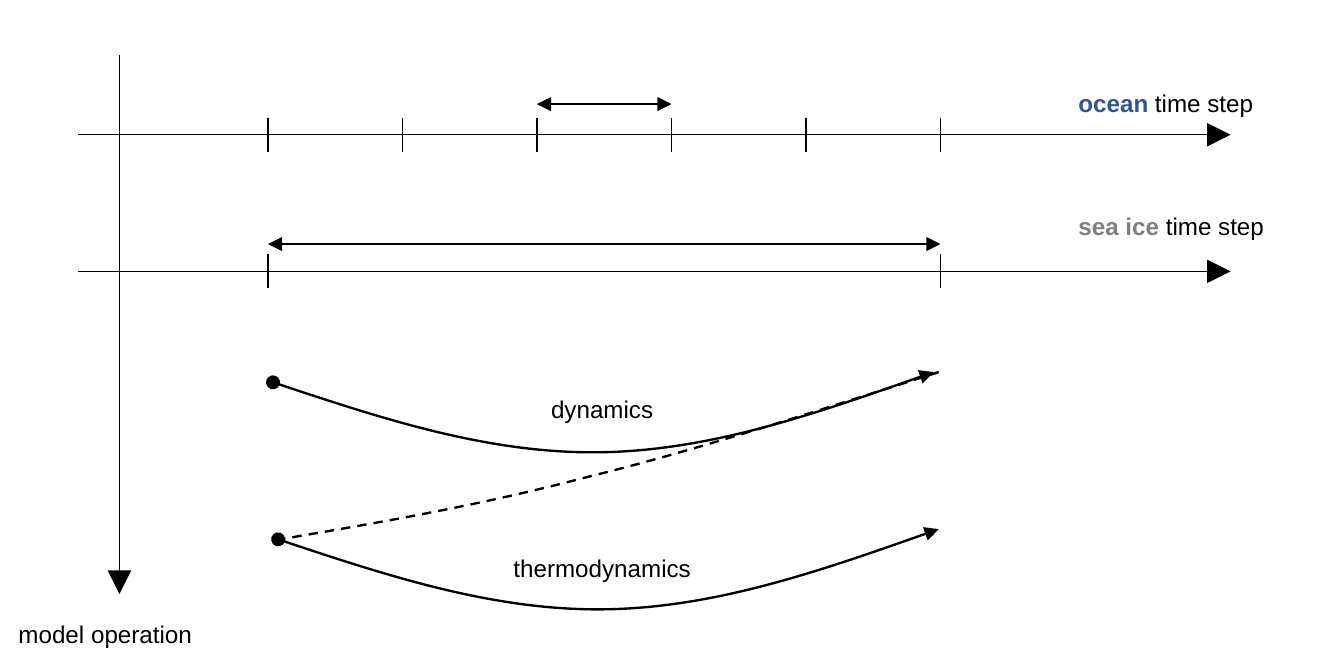
from lxml import etree
from pptx import Presentation
from pptx.dml import color as c
from pptx.enum import dml, shapes, text
from pptx.oxml import ns
from pptx.util import Inches, Pt

BLACK, OCEAN_BLUE, ICE_GRAY = "000000", "2F5597", "808080"
CM_PER_INCH = 2.54


def rgb(hex_color):
    return c.RGBColor.from_string(hex_color)


class Diagram:
    """Holds the text and line style and the slide being drawn."""

    font_name = "Arial"
    font_size = Pt(10.2)
    thin, thick = Pt(0.5), Pt(1)

    def __init__(self, slide):
        self.slide = slide

    def outline(self, shape, width, head=None, tail=None, size="med"):
        shape.line.color.rgb = rgb(BLACK)
        shape.line.width = width
        properties = shape.element.spPr
        stroke = properties.find(ns.qn("a:ln"))
        for tag, kind in (("a:headEnd", head), ("a:tailEnd", tail)):
            if kind:
                etree.SubElement(stroke, ns.qn(tag), type=kind, w=size, len=size)
        etree.SubElement(properties, ns.qn("a:effectLst"))

    def line(self, x1, y1, x2, y2, **ends):
        connector = self.slide.shapes.add_connector(
            shapes.MSO_CONNECTOR.STRAIGHT, Inches(x1), Inches(y1), Inches(x2), Inches(y2))
        self.outline(connector, self.thin, **ends)

    def axis(self, x1, y1, x2, y2):
        self.line(x1, y1, x2, y2, tail="triangle", size="lg")

    def span(self, x1, x2, y):
        self.line(x1, y, x2, y, head="triangle", tail="triangle")

    def ticks(self, positions, y, half_height=0.1):
        for x in positions:
            self.line(x, y - half_height, x, y + half_height)

    def label(self, left, top, width, *runs):
        """Add one line of text from (words, colour, bold) runs."""
        box = self.slide.shapes.add_textbox(
            Inches(left), Inches(top), Inches(width), Inches(0.27))
        frame = box.text_frame
        frame.word_wrap = False
        frame.auto_size = text.MSO_AUTO_SIZE.SHAPE_TO_FIT_TEXT
        paragraph = frame.paragraphs[0]
        for words, hex_color, bold in runs:
            run = paragraph.add_run()
            run.text = words
            run.font.name = self.font_name
            run.font.size = self.font_size
            run.font.bold = bold
            run.font.color.rgb = rgb(hex_color)

    def curve(self, points, dashed=False, **ends):
        """Draw cubic Bézier segments: a start, then three points per segment."""
        points = [(Inches(x), Inches(y)) for x, y in points]
        builder = self.slide.shapes.build_freeform(*points[0])
        builder.add_line_segments(points[1:], close=False)
        shape = builder.convert_to_shape()
        outline_path = shape.element.find(".//" + ns.qn("a:path"))
        segments = outline_path.findall(ns.qn("a:lnTo"))
        for start in range(0, len(segments), 3):
            bezier = etree.SubElement(outline_path, ns.qn("a:cubicBezTo"))
            for segment in segments[start:start + 3]:
                bezier.append(segment[0])
                outline_path.remove(segment)
        shape.fill.background()
        if dashed:
            shape.line.dash_style = dml.MSO_LINE.DASH
        self.outline(shape, self.thick, **ends)


def main():
    presentation = Presentation()
    presentation.slide_width = Inches(20 / CM_PER_INCH)
    presentation.slide_height = Inches(10 / CM_PER_INCH)
    diagram = Diagram(presentation.slides.add_slide(presentation.slide_layouts[6]))

    start, end, steps = 1.57, 5.51, 5
    ocean_ticks = [start + i * (end - start) / steps for i in range(steps + 1)]
    ocean_y, ice_y = 0.79, 1.59

    diagram.axis(0.7, 0.32, 0.7, 3.48)
    for y, ticks in ((ocean_y, ocean_ticks), (ice_y, (start, end))):
        diagram.axis(0.46, y, 7.21, y)
        diagram.ticks(ticks, y)
    diagram.span(ocean_ticks[2], ocean_ticks[3], 0.61)
    diagram.span(start, end, 1.43)

    diagram.label(6.22, 0.47, 1.23, ("ocean", OCEAN_BLUE, True), (" time step", BLACK, False))
    diagram.label(6.22, 1.19, 1.3, ("sea ice ", ICE_GRAY, True), ("time step", BLACK, False))
    for left, top, width, words in ((0.01, 3.58, 1.22, "model operation"),
                                    (3.13, 2.26, 0.81, "dynamics"),
                                    (2.91, 3.19, 1.25, "thermodynamics")):
        diagram.label(left, top, width, (words, BLACK, False))

    sag = [(0, 0), (0.63, 0.21), (1.27, 0.42), (1.92, 0.41),
           (2.56, 0.4), (3.22, 0.17), (3.87, -0.06)]
    for left, top in ((1.6, 2.24), (1.63, 3.16)):
        diagram.curve([(left + x, top + y) for x, y in sag], head="oval", tail="triangle")
    diagram.curve([(5.5, 2.18), (4.81, 2.4), (4.11, 2.63), (3.46, 2.79),
                   (2.82, 2.96), (2.23, 3.06), (1.64, 3.16)], dashed=True)

    presentation.save("out.pptx")


if __name__ == "__main__":
    main()
